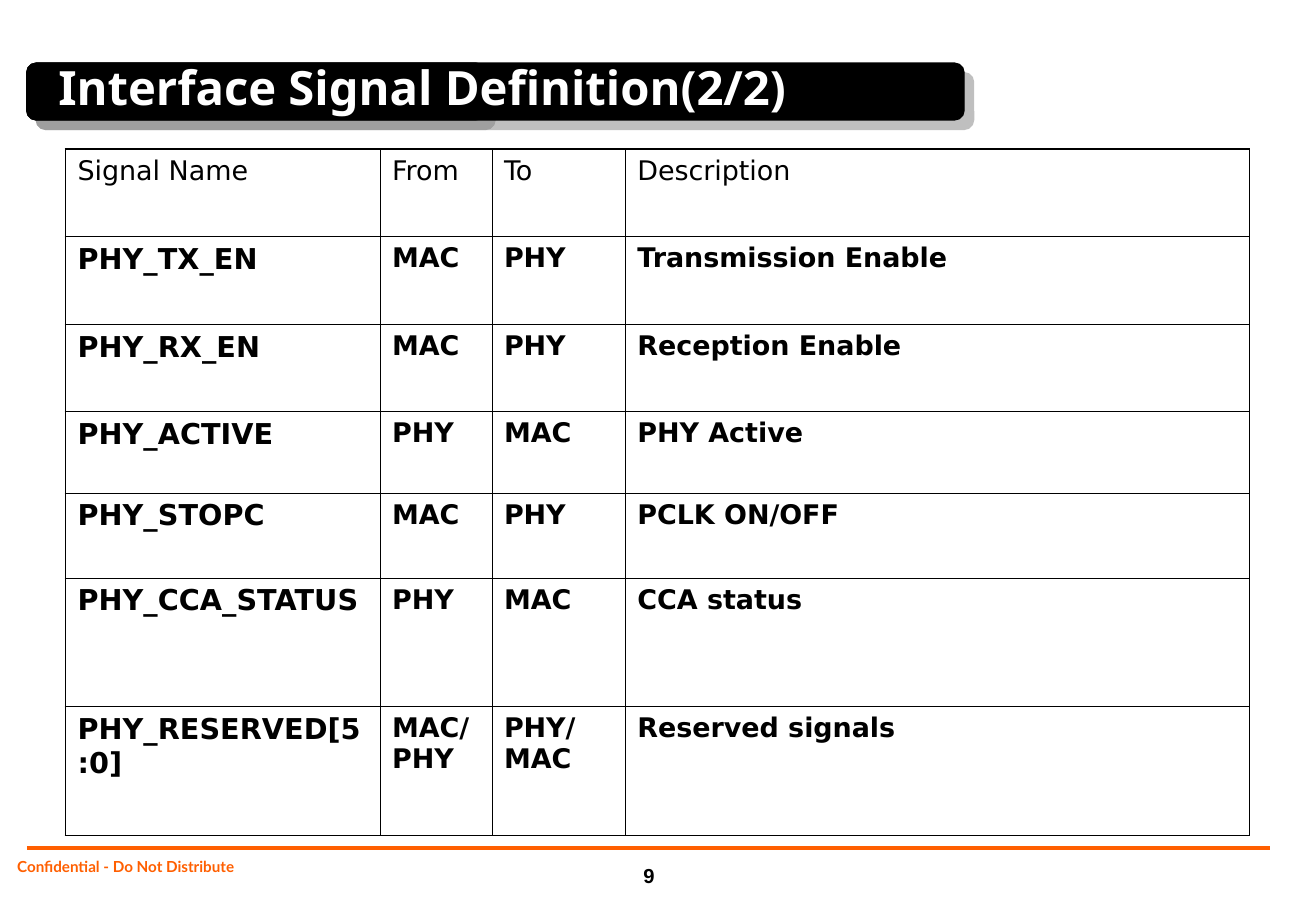
import pptx
import pptx.dml.color
import pptx.enum.shapes
import pptx.enum.text
import pptx.oxml.ns
import pptx.util
from lxml import etree

Cm = pptx.util.Cm
Pt = pptx.util.Pt
ANCHOR = pptx.enum.text.MSO_ANCHOR
ALIGN = pptx.enum.text.PP_ALIGN

BLACK, WHITE, ORANGE, GREY = "000000", "FFFFFF", "FF5F00", "808080"
COLUMN_WIDTHS = [6.58, 2.34, 2.79, 13.06]
ROW_HEIGHTS = [1.83, 1.83, 1.83, 1.7, 1.78, 2.69, 2.69]
SIGNALS = [
    ("Signal Name", "From", "To", "Description"),
    ("PHY_TX_EN", "MAC", "PHY", "Transmission Enable"),
    ("PHY_RX_EN", "MAC", "PHY", "Reception Enable"),
    ("PHY_ACTIVE", "PHY", "MAC", "PHY Active"),
    ("PHY_STOPC", "MAC", "PHY", "PCLK ON/OFF"),
    ("PHY_CCA_STATUS", "PHY", "MAC", "CCA status"),
    ("PHY_RESERVED[5:0]", "MAC/PHY", "PHY/MAC", "Reserved signals"),
]


def color(value):
    return pptx.dml.color.RGBColor.from_string(value)


def add_element(parent, tag, **attributes):
    element = etree.SubElement(parent, pptx.oxml.ns.qn(tag))
    for name, value in attributes.items():
        element.set(name, str(value))
    return element


def add_span(para, text, size, font, fill, bold=True):
    span = para.add_run()
    span.text = text
    span.font.size = Pt(size)
    span.font.name = font
    span.font.bold = bold
    span.font.color.rgb = color(fill)


def add_text(page, box, margins, anchor):
    frame = page.shapes.add_textbox(*[Cm(length) for length in box]).text_frame
    frame.word_wrap = True
    frame.vertical_anchor = anchor
    (frame.margin_left, frame.margin_top,
     frame.margin_right, frame.margin_bottom) = [Cm(m) for m in margins]
    return frame.paragraphs[0]


def add_bar(page, left, top, width, height):
    bar = page.shapes.add_shape(
        pptx.enum.shapes.MSO_SHAPE.ROUNDED_RECTANGLE,
        Cm(left), Cm(top), Cm(width), Cm(height))
    bar.fill.solid()
    bar.fill.fore_color.rgb = color(BLACK)
    bar.line.color.rgb = color(BLACK)
    bar.line.width = Pt(0.75)
    # Hard grey shadow to the lower right
    bar.shadow.inherit = False
    effects = bar._element.spPr.find(pptx.oxml.ns.qn("a:effectLst"))
    shadow = add_element(effects, "a:outerShdw", blurRad=0, dist=Pt(8),
                         dir=45 * 60000, algn="ctr", rotWithShape=0)
    tint = add_element(shadow, "a:srgbClr", val=GREY)
    add_element(tint, "a:alpha", val=50000)


def add_title(page, left, top, width, height):
    # Short bar under the full-width bar
    for bar_width in (9.6, width):
        add_bar(page, left, top, bar_width, height)
    para = add_text(page, (left + 0.41, top - 0.81, width - 0.2, 2.62),
                    (0.25, 0.15, 0.25, 0.15), ANCHOR.MIDDLE)
    add_span(para, "Interface Signal Definition(2/2)", 28, "Noto Sans", WHITE)


def set_borders(cell, outer_sides):
    properties = cell._tc.get_or_add_tcPr()
    for side in "LRTB":
        width = 1.08 if side in outer_sides else 0.45
        line = add_element(properties, "a:ln" + side, w=Pt(width))
        add_element(add_element(line, "a:solidFill"), "a:srgbClr", val=BLACK)


def add_signal_table(page, left, top):
    table = page.shapes.add_table(
        len(ROW_HEIGHTS), len(COLUMN_WIDTHS), Cm(left), Cm(top),
        Cm(sum(COLUMN_WIDTHS)), Cm(sum(ROW_HEIGHTS))).table
    table.first_row = table.horz_banding = False
    for column, width in zip(table.columns, COLUMN_WIDTHS):
        column.width = Cm(width)
    for row, height in zip(table.rows, ROW_HEIGHTS):
        row.height = Cm(height)

    last_row, last_column = len(ROW_HEIGHTS) - 1, len(COLUMN_WIDTHS) - 1
    for r, signal in enumerate(SIGNALS):
        for c, text in enumerate(signal):
            cell = table.cell(r, c)
            # Heavier lines on the outer edge
            edges = {"L": c == 0, "R": c == last_column,
                     "T": r == 0, "B": r == last_row}
            set_borders(cell, [side for side in edges if edges[side]])
            cell.fill.background()
            size = 17 if r > 0 and c == 0 else 16
            add_span(cell.text_frame.paragraphs[0], text, size,
                     "DejaVu Sans", BLACK, bold=r > 0)


def add_footer(page, left, top, width):
    # Rule
    rule = page.shapes.add_connector(
        pptx.enum.shapes.MSO_CONNECTOR.STRAIGHT,
        Cm(left), Cm(top), Cm(left + width), Cm(top))
    rule.line.color.rgb = color(ORANGE)
    rule.line.width = Pt(2)
    add_element(rule._element.spPr, "a:effectLst")

    # Notice
    para = add_text(page, (left - 0.33, top + 0.15, 9.3, 0.69),
                    (0.13, 0, 0.13, 0), ANCHOR.TOP)
    para.line_spacing = 1.1
    add_span(para, "Confidential - Do Not Distribute", 9, "Lato", ORANGE)

    # Page number
    para = add_text(page, (left + 12.62, top + 0.18, 0.79, 0.79),
                    (0.25, 0.13, 0.25, 0.13), ANCHOR.BOTTOM)
    para.alignment = ALIGN.CENTER
    add_span(para, "9", 12, "Arial", BLACK)


def main():
    deck = pptx.Presentation()
    deck.slide_width, deck.slide_height = Cm(27.53), Cm(19.05)
    page = deck.slides.add_slide(deck.slide_layouts[6])
    add_footer(page, 0.56, 17.73, 26.01)
    add_title(page, 0.56, 1.32, 19.61, 1.19)
    add_signal_table(page, 1.37, 3.12)
    deck.save("out.pptx")


if __name__ == "__main__":
    main()
